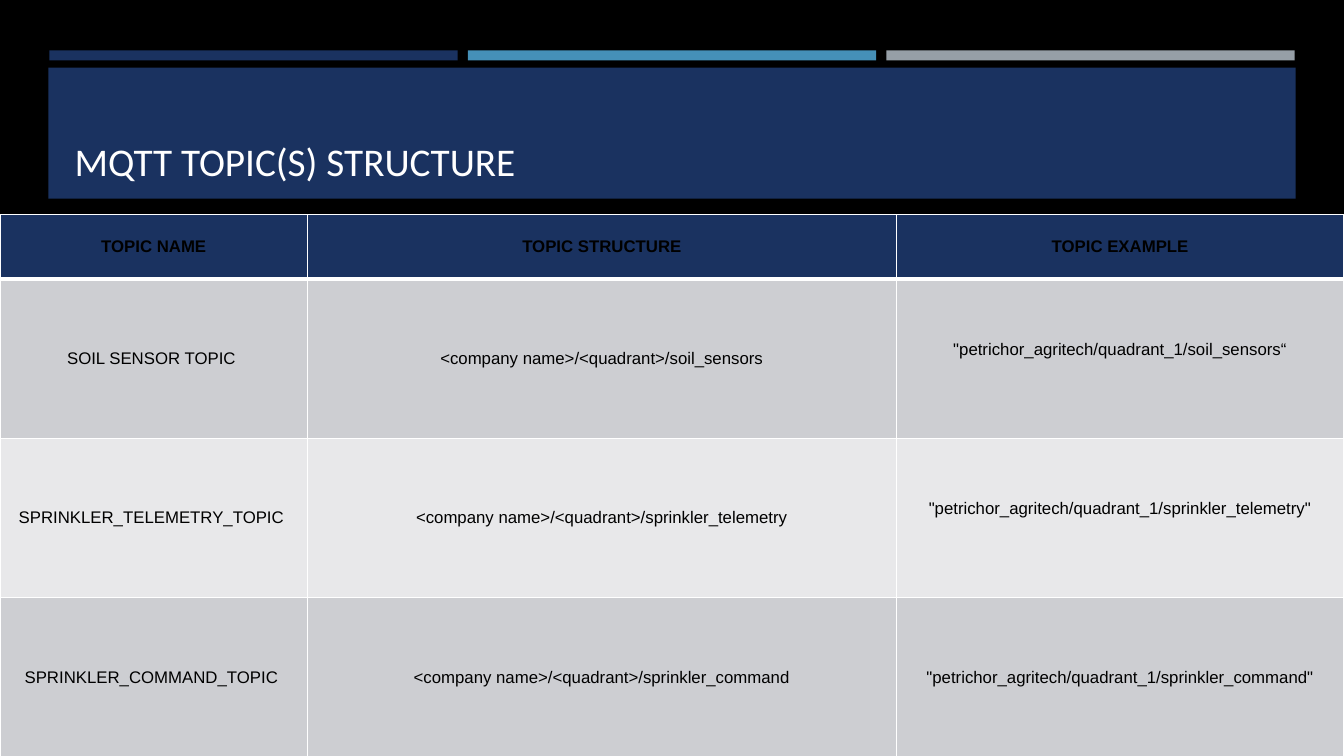
from lxml.etree import SubElement
from pptx import Presentation
from pptx.dml.color import RGBColor
from pptx.enum.shapes import MSO_SHAPE
from pptx.enum.text import MSO_ANCHOR, MSO_AUTO_SIZE, PP_ALIGN
from pptx.oxml.ns import qn
from pptx.util import Inches, Pt

BLACK = RGBColor(0x00, 0x00, 0x00)
WHITE = RGBColor(0xFF, 0xFF, 0xFF)
NAVY = RGBColor(0x1A, 0x32, 0x60)
BLUE = RGBColor(0x45, 0x90, 0xB8)
GRAY = RGBColor(0x96, 0x9F, 0xA7)
DARK = RGBColor(0xCD, 0xCE, 0xD2)
LIGHT = RGBColor(0xE8, 0xE8, 0xEA)

WIDTHS = (3.05, 5.84, 4.44)
HEIGHTS = (0.64, 1.58, 1.58, 1.58)
TOPICS = (
    ("TOPIC NAME", "TOPIC STRUCTURE", "TOPIC EXAMPLE"),
    ("SOIL SENSOR TOPIC ", "<company name>/<quadrant>/soil_sensors",
     '"petrichor_agritech/quadrant_1/soil_sensors“'),
    ("SPRINKLER_TELEMETRY_TOPIC ",
     "<company name>/<quadrant>/sprinkler_telemetry",
     '"petrichor_agritech/quadrant_1/sprinkler_telemetry"'),
    ("SPRINKLER_COMMAND_TOPIC ",
     "<company name>/<quadrant>/sprinkler_command",
     '"petrichor_agritech/quadrant_1/sprinkler_command"'),
)


def add_bar(slide, left, top, width, height, color):
    bar = slide.shapes.add_shape(MSO_SHAPE.RECTANGLE, Inches(left),
                                 Inches(top), Inches(width), Inches(height))
    bar.shadow.inherit = False
    bar.fill.solid()
    bar.fill.fore_color.rgb = color
    bar.line.fill.background()


def style_text(para, font, size, color, bold, align):
    para.alignment = align
    for run in para.runs:
        run.font.name = font
        run.font.size = Pt(size)
        run.font.bold = bold
        run.font.color.rgb = color


def set_title(slide, text):
    title = slide.shapes.title
    # Bring the title in front of its band
    slide.shapes.element.append(title.element)
    title.left, title.top = Inches(0.64), Inches(0.77)
    title.width, title.height = Inches(12.06), Inches(1.11)
    frame = title.text_frame
    frame.text = text
    frame.word_wrap = True
    frame.auto_size = MSO_AUTO_SIZE.NONE
    frame.vertical_anchor = MSO_ANCHOR.BOTTOM
    style_text(frame.paragraphs[0], "Calibri", 28, WHITE, False, PP_ALIGN.LEFT)


def set_edges(cell, top, bottom):
    props = cell._tc.get_or_add_tcPr()
    for side, width in (("L", 1), ("R", 1), ("T", top), ("B", bottom)):
        line = SubElement(props, qn(f"a:ln{side}"), w=str(Pt(width)))
        fill = SubElement(line, qn("a:solidFill"))
        SubElement(fill, qn("a:srgbClr"), val=str(WHITE))


def fill_cell(cell, text, row):
    set_edges(cell, 3 if row == 1 else 1, 3 if row == 0 else 1)
    cell.fill.solid()
    cell.fill.fore_color.rgb = NAVY if row == 0 else DARK if row % 2 else LIGHT
    cell.vertical_anchor = MSO_ANCHOR.MIDDLE
    cell.text = text
    style_text(cell.text_frame.paragraphs[0], "Arial", 12, BLACK, row == 0,
               PP_ALIGN.CENTER)


def add_grid(slide):
    frame = slide.shapes.add_table(len(TOPICS), len(WIDTHS), 0, Inches(2.13),
                                   Inches(13.33), Inches(5.37))
    table = frame.table
    for column, width in zip(table.columns, WIDTHS):
        column.width = Inches(width)
    for row, (height, texts) in enumerate(zip(HEIGHTS, TOPICS)):
        table.rows[row].height = Inches(height)
        for col, text in enumerate(texts):
            fill_cell(table.cell(row, col), text, row)
    # The first two examples sit a little above the middle
    for row in (1, 2):
        table.cell(row, 2).margin_bottom = Inches(0.23)


def main():
    deck = Presentation()
    deck.slide_width, deck.slide_height = Inches(13.33), Inches(7.5)
    slide = deck.slides.add_slide(deck.slide_layouts[5])
    slide.background.fill.solid()
    slide.background.fill.fore_color.rgb = BLACK

    # Accent bars and title band
    for index, color in enumerate((NAVY, BLUE, GRAY)):
        add_bar(slide, 0.49 + index * 4.15, 0.5, 4.05, 0.1, color)
    add_bar(slide, 0.48, 0.67, 12.37, 1.3, NAVY)
    set_title(slide, "MQTT TOPIC(S) STRUCTURE")

    # Topic table
    add_grid(slide)
    deck.save("out.pptx")


if __name__ == "__main__":
    main()
